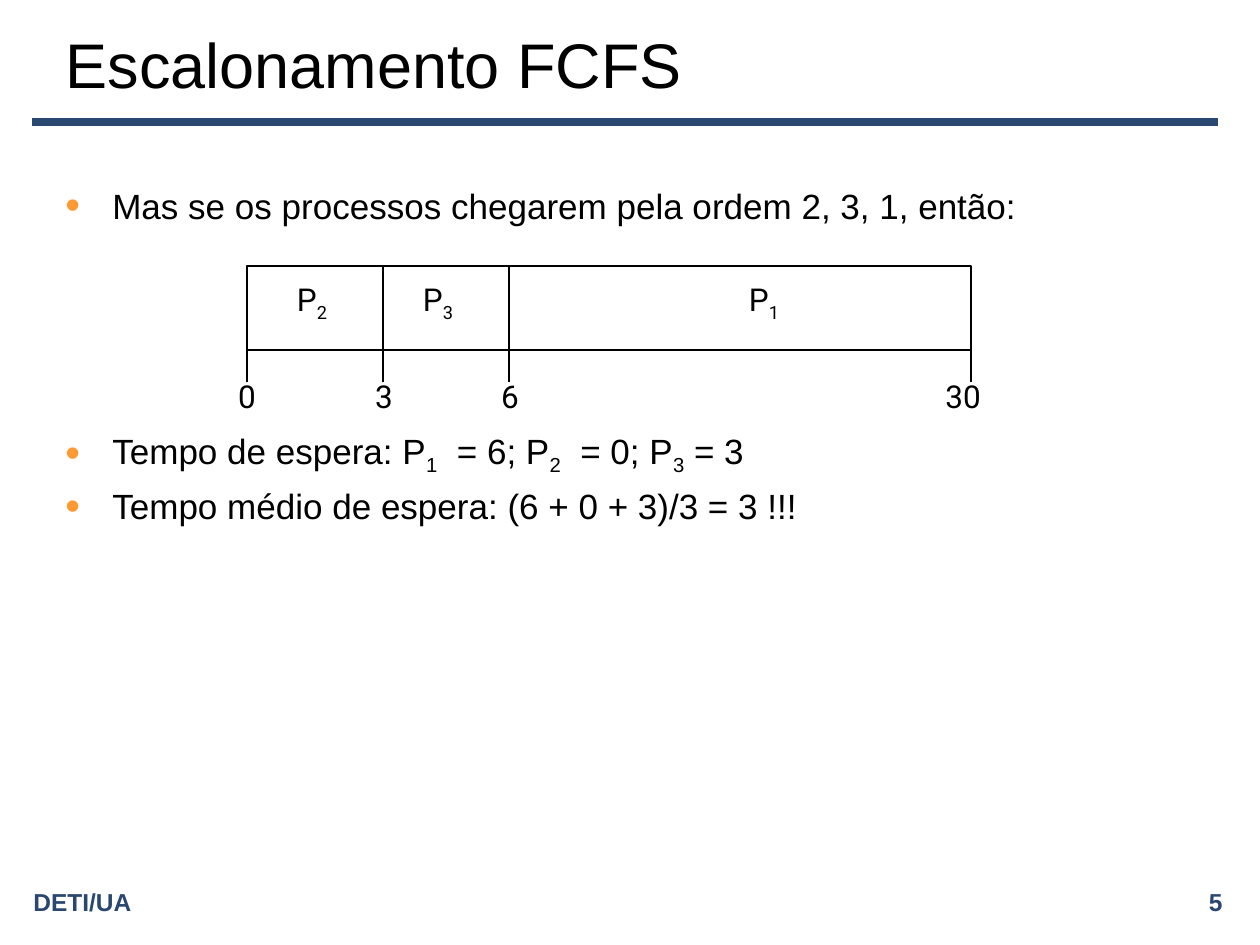
from pptx import Presentation
from pptx.dml.color import RGBColor
from pptx.enum.shapes import MSO_CONNECTOR, MSO_SHAPE
from pptx.enum.text import MSO_ANCHOR, PP_ALIGN
from pptx.oxml.ns import qn
from pptx.util import Pt
from lxml import etree

LEFT, CENTER, RIGHT = PP_ALIGN.LEFT, PP_ALIGN.CENTER, PP_ALIGN.RIGHT
MIDDLE, TOP = MSO_ANCHOR.MIDDLE, MSO_ANCHOR.TOP
STRAIGHT, RECTANGLE = MSO_CONNECTOR.STRAIGHT, MSO_SHAPE.RECTANGLE

TITLE = "Escalonamento FCFS"
BULLETS = [
    ("Mas se os processos chegarem pela ordem 2, 3, 1, então:", 0),
    ("Tempo de espera: P_1_  = 6; P_2_  = 0; P_3_ = 3", 116),
    ("Tempo médio de espera: (6 + 0 + 3)/3 = 3 !!!", 4.5),
]
PROCESSES = [("P_2_", 312), ("P_3_", 438), ("P_1_", 764)]
TIMES = [("0", 247, 247), ("3", 383, 384), ("6", 509, 510), ("30", 971, 963)]
FOOTERS = [("DETI/UA", 21, LEFT), ("5", 746, RIGHT)]

THEME = {
    "font": "Arial", "chart_font": "Roboto",
    "text": "000000", "accent": "2A476F", "bullet": "FF9933", "paper": "FFFFFF",
    "title_size": 36, "body_size": 20, "chart_size": 18, "footer_size": 14,
    "rule_width": 4.5, "line_width": 0.75,
}
BAR_TOP, BAR_BOTTOM, TICK_BOTTOM = 266, 350, 382
LABEL_WIDTH, LABEL_HEIGHT = 80, 50
PROCESS_TOP, TIME_TOP = 277, 371
INDENT = 47


def px(value):
    return round(value * 914400 / 126)


def color(name):
    return RGBColor.from_string(THEME[name])


def write(paragraph, text, size, font="font", fill="text", bold=False):
    for index, piece in enumerate(text.split("_")):
        if not piece:
            continue
        run = paragraph.add_run()
        run.text = piece
        run.font.name = THEME[font]
        run.font.size = Pt(THEME[size])
        run.font.bold = bold
        run.font.color.rgb = color(fill)
        if index % 2:
            run._r.get_or_add_rPr().set("baseline", "-25000")


def add_box(slide, left, top, width, height, anchor=MIDDLE):
    box = slide.shapes.add_textbox(px(left), px(top), px(width), px(height))
    box.text_frame.word_wrap = True
    box.text_frame.vertical_anchor = anchor
    return box.text_frame


def add_line(slide, start, end, width="line_width", fill="text"):
    line = slide.shapes.add_connector(STRAIGHT, *map(px, start + end))
    line.line.width = Pt(THEME[width])
    line.line.color.rgb = color(fill)
    etree.SubElement(line._element.spPr, qn("a:effectLst"))


def add_label(slide, text, center, top):
    frame = add_box(slide, center - LABEL_WIDTH / 2, top, LABEL_WIDTH, LABEL_HEIGHT)
    frame.paragraphs[0].alignment = CENTER
    write(frame.paragraphs[0], text, "chart_size", "chart_font")


def add_bullet(paragraph):
    properties = paragraph._p.get_or_add_pPr()
    properties.set("marL", str(px(INDENT)))
    properties.set("indent", str(-px(INDENT)))
    bullet_color = etree.SubElement(properties, qn("a:buClr"))
    etree.SubElement(bullet_color, qn("a:srgbClr"), val=THEME["bullet"])
    etree.SubElement(properties, qn("a:buSzPct"), val="120000")
    etree.SubElement(properties, qn("a:buFont"), typeface=THEME["font"])
    etree.SubElement(properties, qn("a:buChar"), char="•")


def add_title(slide):
    title = slide.shapes.title
    title.left, title.top, title.width, title.height = map(px, (53, 21, 1102, 84))
    title.text_frame.vertical_anchor = MIDDLE
    title.text_frame.paragraphs[0].alignment = LEFT
    write(title.text_frame.paragraphs[0], TITLE, "title_size")


def add_body(slide):
    frame = add_box(slide, 53, 178, 1134, 624, TOP)
    for index, (text, space) in enumerate(BULLETS):
        paragraph = frame.add_paragraph() if index else frame.paragraphs[0]
        paragraph.space_before = Pt(space)
        add_bullet(paragraph)
        write(paragraph, text, "body_size")


def add_timeline(slide):
    first, last = TIMES[0][1], TIMES[-1][1]
    bar = slide.shapes.add_shape(
        RECTANGLE, px(first), px(BAR_TOP), px(last - first), px(BAR_BOTTOM - BAR_TOP))
    bar.shadow.inherit = False
    bar.fill.solid()
    bar.fill.fore_color.rgb = color("paper")
    bar.line.color.rgb = color("text")
    bar.line.width = Pt(THEME["line_width"])
    for text, center in PROCESSES:
        add_label(slide, text, center, PROCESS_TOP)
    for text, x, center in TIMES:
        add_line(slide, (x, BAR_BOTTOM), (x, TICK_BOTTOM))
        add_label(slide, text, center, TIME_TOP)
    for _, x, _ in TIMES[1:-1]:
        add_line(slide, (x, BAR_TOP), (x, BAR_BOTTOM))


def main():
    presentation = Presentation()
    presentation.slide_width, presentation.slide_height = px(1260), px(945)
    slide = presentation.slides.add_slide(presentation.slide_layouts[5])
    add_line(slide, (32, 122), (1218, 122), "rule_width", "accent")
    for text, left, alignment in FOOTERS:
        paragraph = add_box(slide, left, 882, 489, 39).paragraphs[0]
        paragraph.alignment = alignment
        write(paragraph, text, "footer_size", fill="accent", bold=True)
    add_title(slide)
    add_body(slide)
    add_timeline(slide)
    presentation.save("out.pptx")


if __name__ == "__main__":
    main()
